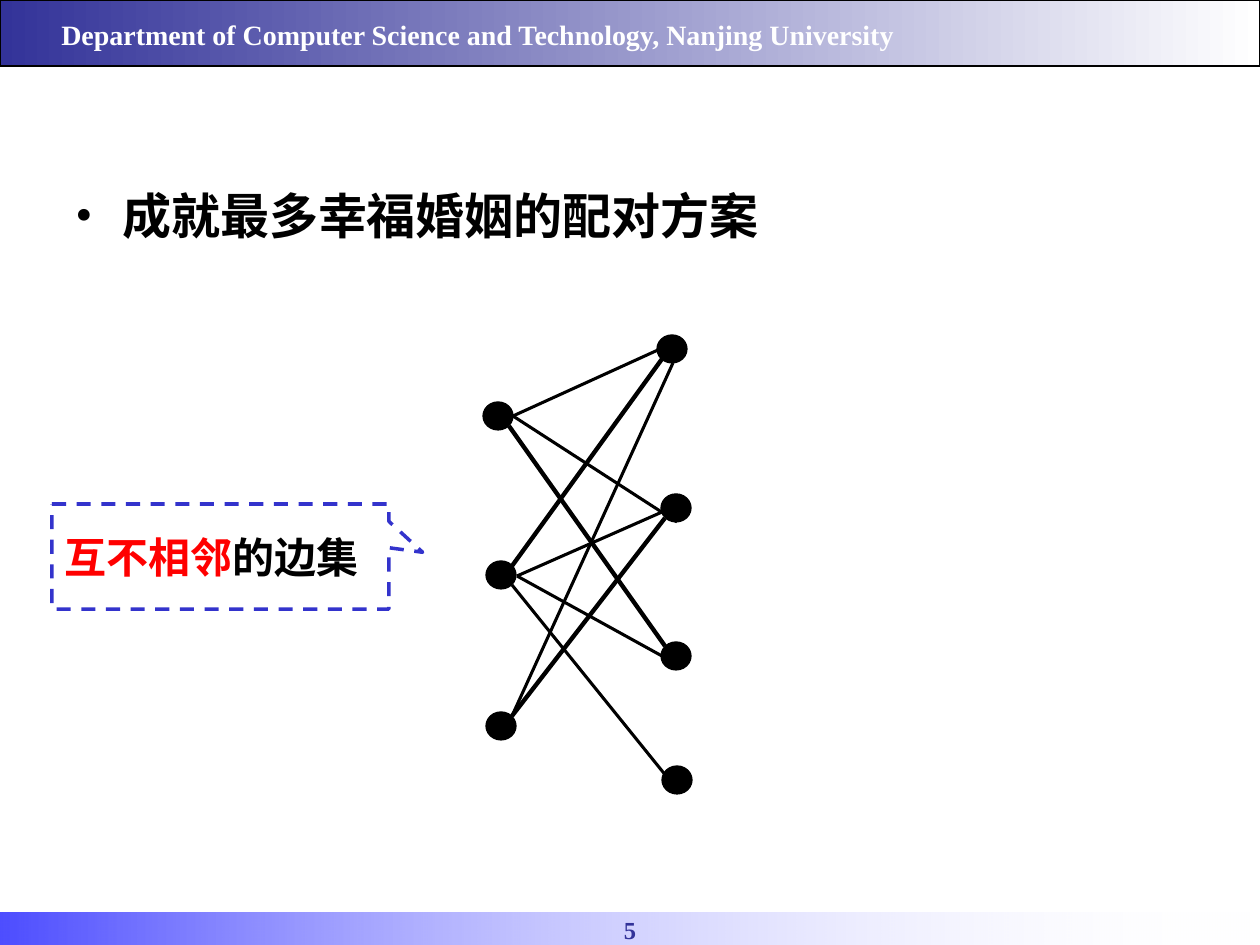
from pptx import Presentation
from pptx.dml.color import RGBColor
from pptx.enum.dml import MSO_LINE
from pptx.enum.shapes import MSO_CONNECTOR, MSO_SHAPE
from pptx.enum.text import MSO_ANCHOR, PP_ALIGN
from pptx.oxml.ns import qn
from pptx.util import Inches, Pt
from lxml import etree

RECTANGLE, CALLOUT, NODE = MSO_SHAPE.RECTANGLE, MSO_SHAPE.RECTANGULAR_CALLOUT, MSO_SHAPE.FLOWCHART_CONNECTOR
STRAIGHT, DASH = MSO_CONNECTOR.STRAIGHT, MSO_LINE.DASH
LEFT, CENTER, JUSTIFY = PP_ALIGN.LEFT, PP_ALIGN.CENTER, PP_ALIGN.JUSTIFY
TOP, MIDDLE = MSO_ANCHOR.TOP, MSO_ANCHOR.MIDDLE
SCALE = Inches(1) / 126
FONT = "Times New Roman"
BLACK, WHITE, NAVY, BLUE, RED = "000000", "FFFFFF", "333399", "3333CC", "FF0000"

BANDS = [
    ((0, 0, 1260, 66), [(NAVY, 100), (WHITE, 100)], BLACK),
    ((0, 913, 1260, 32), [("0000FF", 70), (WHITE, 0)], None),
]
HEADER = [("Department of Computer Science and Technology, Nanjing University", WHITE)]
PAGE_NUMBER = [("5", NAVY)]
BULLET = [("成就最多幸福婚姻的配对方案", BLACK)]
CALLOUT_TEXT = [("互不相邻", RED), ("的边集", BLACK)]

NODE_SIZE = (30, 28)
NODE_CENTERS = [
    (498, 416), (501, 575), (501, 726),
    (672, 349), (676, 508), (676, 656), (677, 780),
]
THIN_EDGES = [
    ((673, 363), (512, 716)), ((517, 576), (662, 656)), ((658, 350), (513, 416)),
    ((669, 509), (517, 576)), ((667, 777), (512, 585)), ((513, 416), (677, 522)),
]
MATCHED_EDGES = [
    ((662, 359), (512, 566)), ((665, 518), (512, 716)), ((665, 646), (509, 426)),
]


def px(value):
    return round(value * SCALE)


def color(value):
    return RGBColor.from_string(value)


def add_shape(slide, kind, box, fill=None, line=None, width=0.75):
    shape = slide.shapes.add_shape(kind, *map(px, box))
    shape.shadow.inherit = False
    if fill:
        shape.fill.solid()
        shape.fill.fore_color.rgb = color(fill)
    else:
        shape.fill.background()
    if line:
        shape.line.color.rgb = color(line)
        shape.line.width = Pt(width)
    else:
        shape.line.fill.background()
    return shape


def add_band(slide, box, stops, line):
    fill = add_shape(slide, RECTANGLE, box, line=line).fill
    fill.gradient()
    fill.gradient_angle = 0
    for stop, position, (value, opacity) in zip(fill.gradient_stops, (0, 1), stops):
        stop.position = position
        stop.color.rgb = color(value)
    gradient_colors = fill._xPr.iter(qn("a:srgbClr"))
    for element, (_, opacity) in zip(list(gradient_colors), stops):
        if opacity < 100:
            etree.SubElement(element, qn("a:alpha"), val=str(opacity * 1000))


def write_text(shape, runs, size, align=LEFT, anchor=TOP):
    frame = shape.text_frame
    frame.word_wrap = True
    frame.vertical_anchor = anchor
    paragraph = frame.paragraphs[0]
    paragraph.alignment = align
    for text, value in runs:
        run = paragraph.add_run()
        run.text = text
        run.font.name = FONT
        run.font.size = Pt(size)
        run.font.bold = True
        run.font.color.rgb = color(value)
    return paragraph


def add_text(slide, box, runs, size, align=LEFT):
    return write_text(slide.shapes.add_textbox(*map(px, box)), runs, size, align)


def add_bullet(paragraph, indent):
    properties = paragraph._p.get_or_add_pPr()
    properties.set("marL", str(px(indent)))
    properties.set("indent", str(-px(indent)))
    etree.SubElement(properties, qn("a:buFont"), typeface=FONT)
    etree.SubElement(properties, qn("a:buChar"), char="•")


def add_edge(slide, start, end, width):
    edge = slide.shapes.add_connector(STRAIGHT, *map(px, start + end))
    edge.line.color.rgb = color(BLACK)
    edge.line.width = Pt(width)
    etree.SubElement(edge._element.spPr, qn("a:effectLst"))


def main():
    """Build the bipartite matching slide."""
    presentation = Presentation()
    presentation.slide_width, presentation.slide_height = px(1260), px(945)
    slide = presentation.slides.add_slide(presentation.slide_layouts[6])

    for band in BANDS:
        add_band(slide, *band)
    add_text(slide, (0, 909, 1260, 41), PAGE_NUMBER, 14, CENTER)
    add_text(slide, (49, 15, 892, 84), HEADER, 16, JUSTIFY).line_spacing = 0.9
    add_bullet(add_text(slide, (63, 179, 1166, 105), BULLET, 28), 47)

    callout = add_shape(slide, CALLOUT, (52, 504, 337, 105), line=BLUE, width=2)
    callout.line.dash_style = DASH
    callout.adjustments[0], callout.adjustments[1] = 0.6, -0.04
    write_text(callout, CALLOUT_TEXT, 24, anchor=MIDDLE)

    for edges, width in ((THIN_EDGES, 1.75), (MATCHED_EDGES, 2.5)):
        for start, end in edges:
            add_edge(slide, start, end, width)
    width, height = NODE_SIZE
    for x, y in NODE_CENTERS:
        add_shape(slide, NODE, (x - width / 2, y - height / 2, width, height), BLACK, BLACK)

    presentation.save("out.pptx")


if __name__ == "__main__":
    main()
